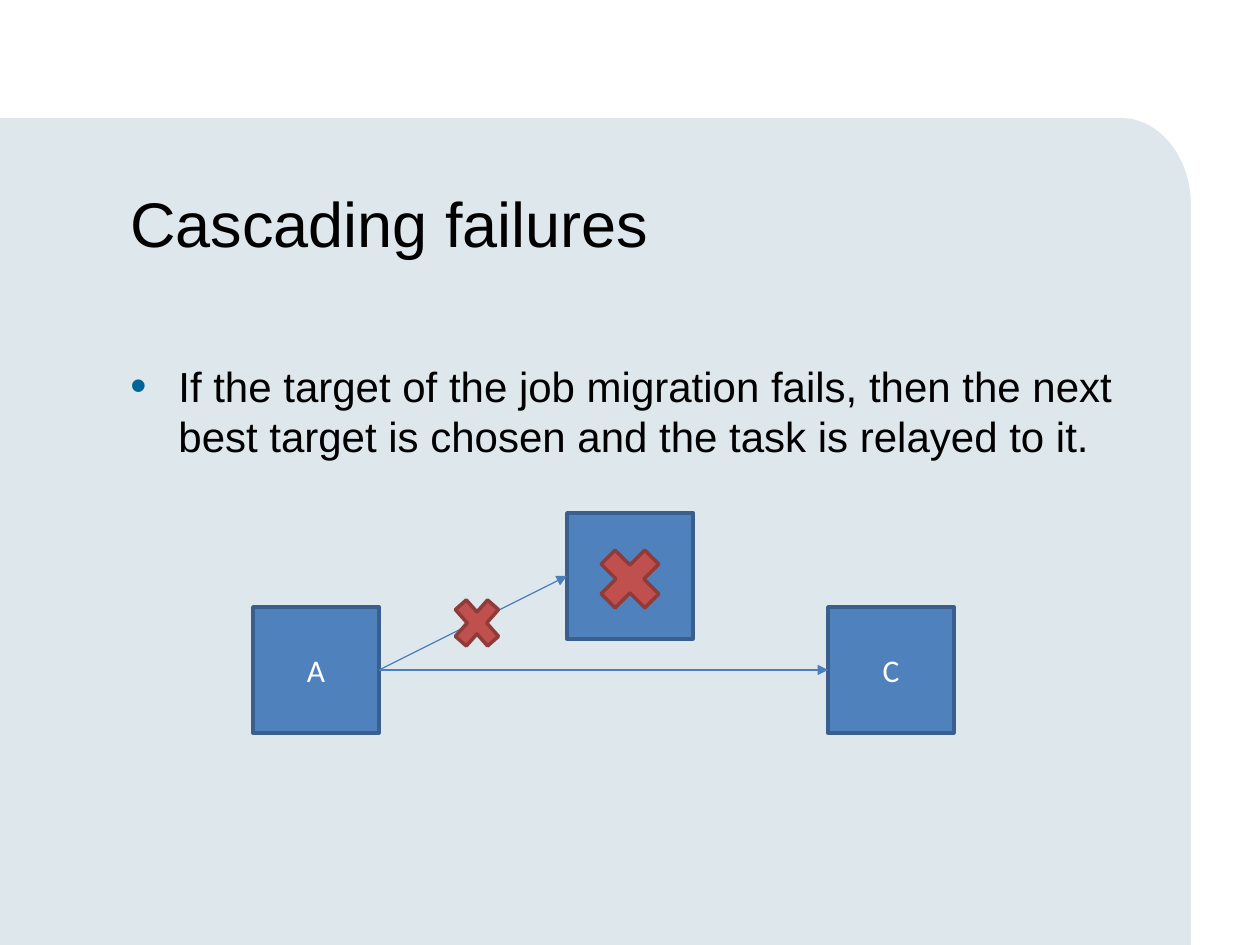
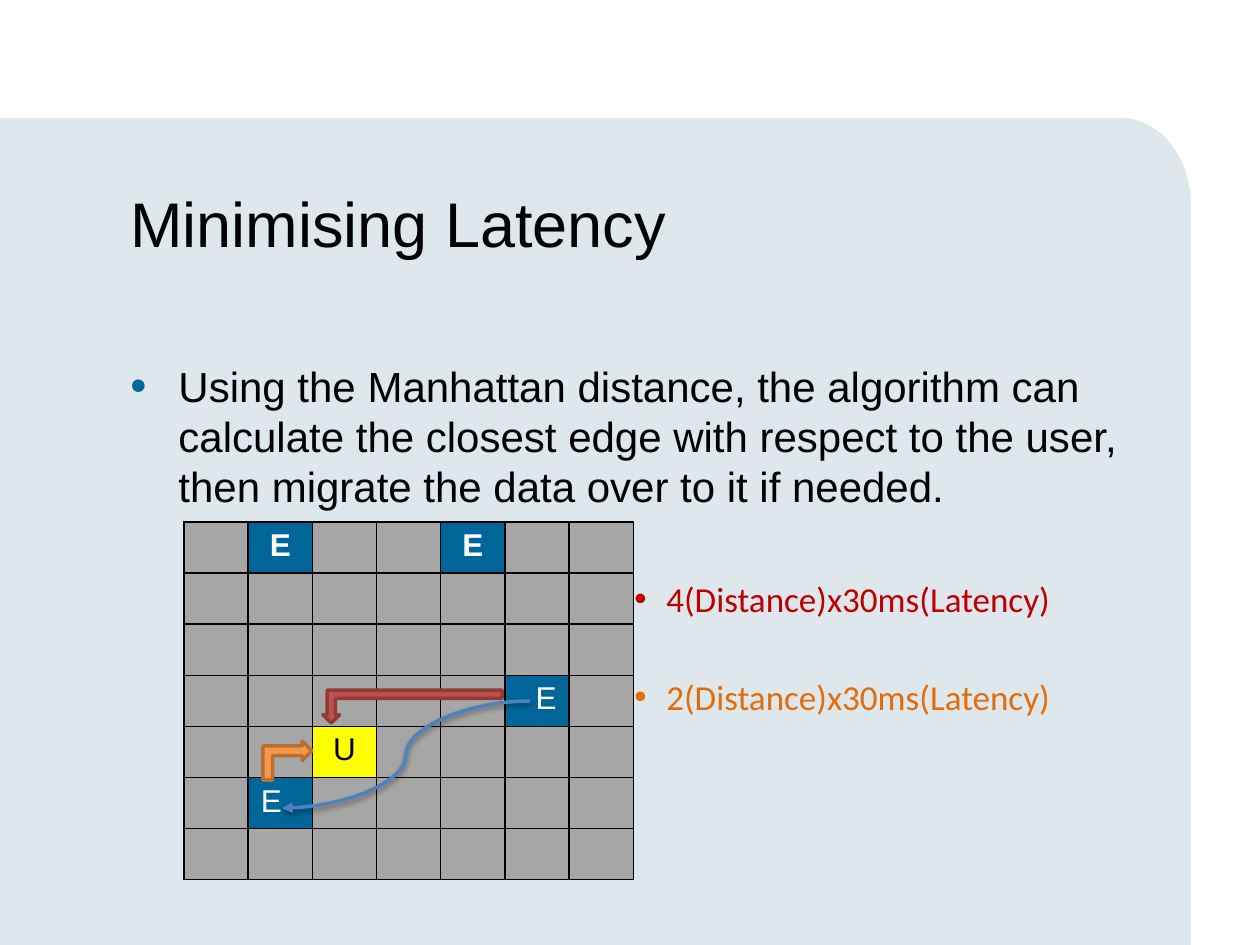
"""Build two slides on failure handling and latency in edge computing."""
import lxml.etree
import pptx
import pptx.dml.color
import pptx.enum.shapes
import pptx.enum.text
import pptx.oxml.ns
import pptx.util

EMU_PER_PIXEL = 914400 / 126
PANEL, BLACK, WHITE = "DEE7EC", "000000", "FFFFFF"
TEAL, GREY, YELLOW = "006699", "A6A6A6", "FFFF00"
BLUE, BLUE_EDGE, BLUE_LINE = "4F81BD", "3A5F8C", "4B7EBC"
RED, RED_EDGE = "C0504D", "8E3B39"
ORANGE, ORANGE_EDGE = "F79646", "B76F34"
SHAPE = pptx.enum.shapes.MSO_SHAPE
CONNECTOR = pptx.enum.shapes.MSO_CONNECTOR
ALIGN = pptx.enum.text.PP_ALIGN
ANCHOR = pptx.enum.text.MSO_ANCHOR
Pt = pptx.util.Pt


def px(length):
    """Turn pixels into EMU."""
    return pptx.util.Emu(round(length * EMU_PER_PIXEL))


def colour(value):
    """Turn a hex string into a colour."""
    return pptx.dml.color.RGBColor.from_string(value)


def apply_format(target, values):
    """Set every attribute named in a dict of format values."""
    for name, value in values.items():
        setattr(target, name, value)


def add_xml(parent, tag, **attributes):
    """Append a DrawingML element and return it."""
    name = pptx.oxml.ns.qn("a:" + tag)
    return lxml.etree.SubElement(parent, name, attributes)


def write(para, text, size, hue, font="Arial", bold=False):
    """Add one formatted span to a paragraph."""
    span = para.add_run()
    span.text = text
    apply_format(span.font, {"size": Pt(size), "name": font, "bold": bold})
    span.font.color.rgb = colour(hue)


def add_text_frame(page, left, top, width, height):
    """Add a wrapping text box and return its frame."""
    frame = page.shapes.add_textbox(*map(px, (left, top, width, height))).text_frame
    apply_format(frame, {"word_wrap": True, "vertical_anchor": ANCHOR.TOP})
    return frame


def add_bullet(para, indent, hanging, hue, percent):
    """Give a paragraph a hanging bullet."""
    properties = para._p.get_or_add_pPr()
    properties.set("marL", str(px(indent)))
    properties.set("indent", str(-px(hanging)))
    add_xml(add_xml(properties, "buClr"), "srgbClr", val=hue)
    add_xml(properties, "buSzPct", val=str(percent * 1000))
    add_xml(properties, "buFont", typeface="Arial")
    add_xml(properties, "buChar", char="•")


def add_shape(page, kind, bounds, fill, edge=None, rotation=0):
    """Add a flat preset shape, outlined when an edge colour is given."""
    shape = page.shapes.add_shape(kind, *map(px, bounds))
    shape.shadow.inherit = False
    shape.rotation = rotation
    shape.fill.solid()
    shape.fill.fore_color.rgb = colour(fill)
    if edge:
        shape.line.color.rgb = colour(edge)
        shape.line.width = Pt(2)
    else:
        shape.line.fill.background()
    return shape


def add_node(page, left, top, label=None):
    """Add a square node, with a centred label if one is given."""
    box = add_shape(page, SHAPE.RECTANGLE, (left, top, 126, 126), BLUE, BLUE_EDGE)
    if label:
        box.text_frame.vertical_anchor = ANCHOR.MIDDLE
        para = box.text_frame.paragraphs[0]
        para.alignment = ALIGN.CENTER
        write(para, label, 18, WHITE, "Calibri")


def add_arrow(page, kind, start, end, hue, width, shadow=False):
    """Add a connector with a triangle at its end."""
    arrow = page.shapes.add_connector(kind, *map(px, start + end))
    arrow.line.color.rgb = colour(hue)
    arrow.line.width = Pt(width)
    add_xml(arrow.line._get_or_add_ln(), "tailEnd", type="triangle")
    effects = add_xml(arrow._element.spPr, "effectLst")
    if shadow:
        outer = add_xml(effects, "outerShdw", blurRad="40000", dist="20000",
                        dir="5400000", rotWithShape="0")
        add_xml(add_xml(outer, "srgbClr", val=BLACK), "alpha", val="38000")


def add_page(deck, title, statement):
    """Add a slide with panel, title and statement; return it and its body frame."""
    page = deck.slides.add_slide(deck.slide_layouts[6])
    for kind, bounds in ((SHAPE.RECTANGLE, (0, 118, 1123, 827)),
                         (SHAPE.OVAL, (1051, 118, 140, 175)),
                         (SHAPE.RECTANGLE, (674, 204, 517, 741))):
        add_shape(page, kind, bounds, PANEL)
    heading = add_text_frame(page, 118, 178, 1024, 158)
    write(heading.paragraphs[0], title, 36, BLACK)
    body = add_text_frame(page, 118, 354, 1024, 490)
    para = body.paragraphs[0]
    add_bullet(para, 48, 48, TEAL, 110)
    write(para, statement, 24, BLACK)
    return page, body


def add_note(body, text, hue, gap):
    """Add a far-indented latency note, set off by a gap in points."""
    para = body.add_paragraph()
    apply_format(para, {"level": 8, "space_before": Pt(gap)})
    add_bullet(para, 536, 32, hue, 100)
    write(para, text, 20, hue, "Calibri")


def add_grid(page, left, top, count, cell_size, marked):
    """Add a square grid table; marked maps (row, column) to cell content."""
    width, height = cell_size
    table = page.shapes.add_table(count, count, px(left), px(top),
                                  px(count * width), px(count * height)).table
    apply_format(table, {"first_row": False, "horz_banding": False})
    for column in table.columns:
        column.width = px(width)
    for row_number, row in enumerate(table.rows):
        row.height = px(height)
        for column_number, cell in enumerate(row.cells):
            apply_format(cell, {"margin_top": px(6), "margin_bottom": px(5)})
            for side in "LRTB":
                border = add_xml(cell._tc.get_or_add_tcPr(), "ln" + side, w="12700")
                add_xml(add_xml(border, "solidFill"), "srgbClr", val=BLACK)
            mark = marked.get((row_number, column_number))
            cell.fill.solid()
            cell.fill.fore_color.rgb = colour(mark[1] if mark else GREY)
            if mark:
                letter, _, hue, alignment, bold = mark
                para = cell.text_frame.paragraphs[0]
                para.alignment = alignment
                write(para, letter, 18, hue, bold=bold)


def build_failures(deck):
    """Build the slide about a failed migration target."""
    page, _ = add_page(deck, "Cascading failures",
                       "If the target of the job migration fails, then the next "
                       "best target is chosen and the task is relayed to it.")
    add_node(page, 253, 607, "A")
    add_node(page, 567, 513)
    add_node(page, 828, 607, "C")
    for end in ((567, 576), (828, 670)):
        add_arrow(page, CONNECTOR.STRAIGHT, (379, 670), end, BLUE_LINE, 0.75)
    for bounds in ((588, 537, 84, 84), (446, 588, 62, 70)):
        add_shape(page, SHAPE.MATH_MULTIPLY, bounds, RED, RED_EDGE)


def build_latency(deck):
    """Build the slide about the closest edge on a grid."""
    page, body = add_page(deck, "Minimising Latency",
                          "Using the Manhattan distance, the algorithm can calculate "
                          "the closest edge with respect to the user, then migrate "
                          "the data over to it if needed.")
    add_note(body, "4(Distance)x30ms(Latency)", "C00000", 38)
    add_note(body, "2(Distance)x30ms(Latency)", "E46C0A", 31.5)
    add_grid(page, 184, 522, 7, (64.2, 51.1), {
        (0, 1): ("E", TEAL, WHITE, ALIGN.CENTER, True),
        (0, 4): ("E", TEAL, WHITE, ALIGN.CENTER, True),
        (3, 5): ("E", TEAL, WHITE, ALIGN.RIGHT, False),
        (4, 2): ("U", YELLOW, BLACK, ALIGN.CENTER, False),
        (5, 1): ("E", TEAL, WHITE, ALIGN.LEFT, False)})
    add_arrow(page, CONNECTOR.CURVE, (530, 701), (282, 808), BLUE, 2, shadow=True)
    add_shape(page, SHAPE.BENT_UP_ARROW, (323, 690, 179, 33), RED, RED_EDGE, 180)
    short_route = add_shape(page, SHAPE.BENT_UP_ARROW, (268, 736, 39, 49),
                            ORANGE, ORANGE_EDGE, 90)
    short_route._element.spPr.xfrm.set("flipH", "1")


def main():
    """Build and save the deck."""
    deck = pptx.Presentation()
    apply_format(deck, {"slide_width": px(1260), "slide_height": px(945)})
    build_failures(deck)
    build_latency(deck)
    deck.save("out.pptx")


main()
